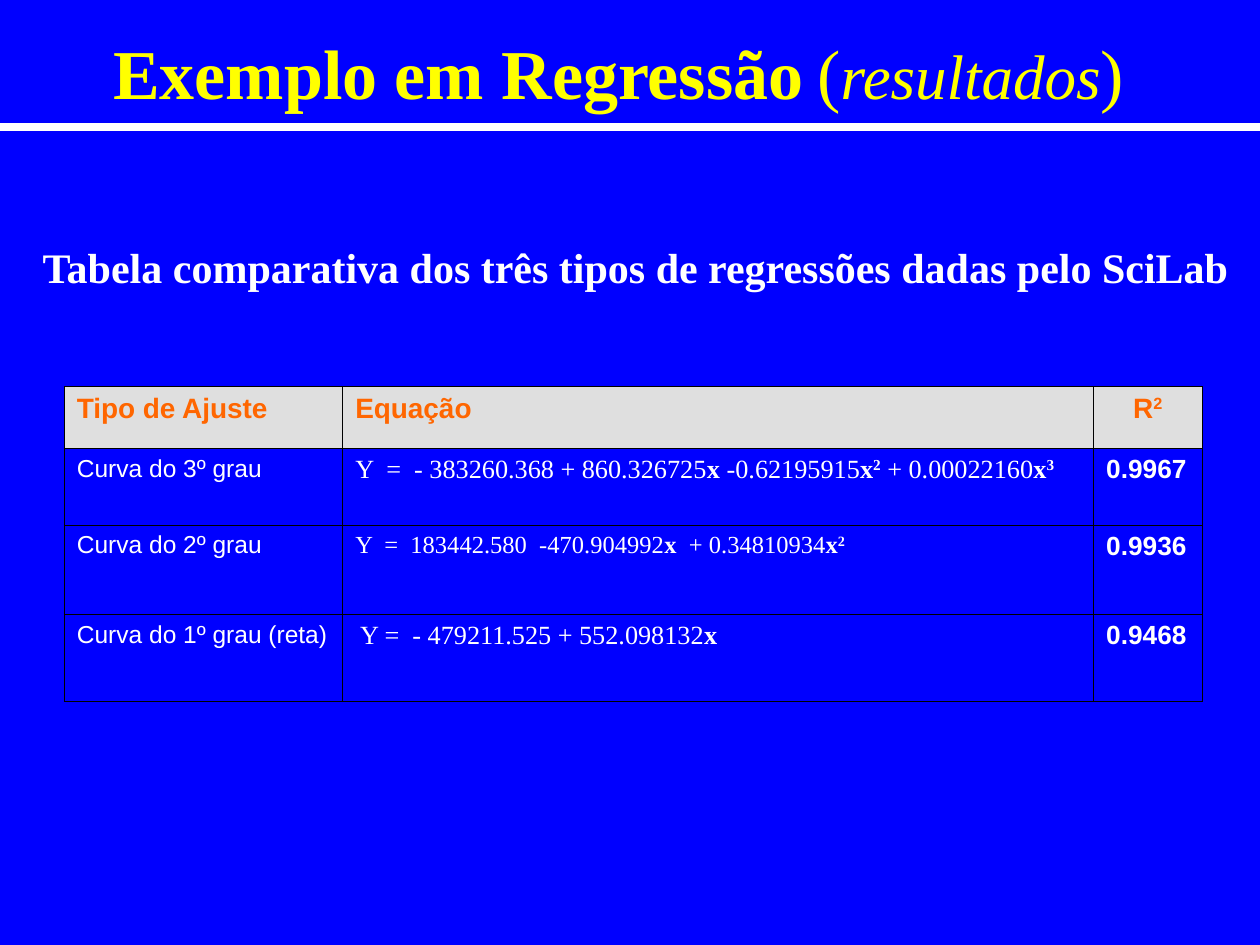
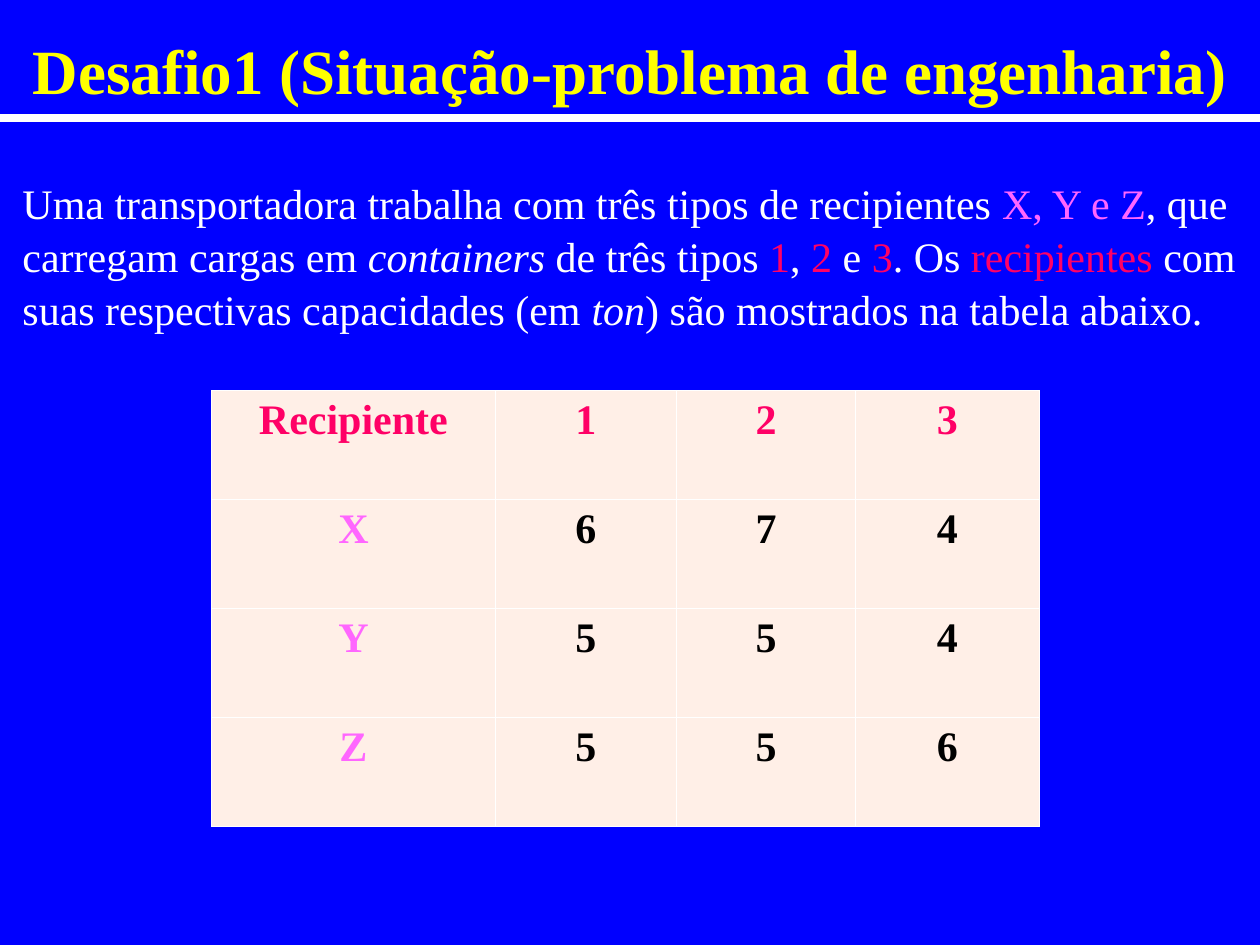
from lxml import etree
from pptx import Presentation
from pptx import util as u
from pptx.dml.color import RGBColor
from pptx.enum import shapes, text
from pptx.oxml import ns

HUES = {
    "back": "0000FF", "title": "FFFF00", "white": "FFFFFF", "black": "000000",
    "orange": "FF6600", "grey": "DFDFDF", "cream": "FFEFE7",
    "red": "FF0066", "pink": "FF66FF",
}
SERIF, SANS = "Times New Roman", "Arial"
WIDE, HIGH = u.Inches(10), u.Inches(7.5)

BOLD, ITAL = {"bold": True}, {"italic": True}
RED, PINK = {"hue": "red"}, {"hue": "pink"}
POWER = {"bold": True, "up": True}


def rgb(hue):
    return RGBColor.from_string(HUES[hue])


def across(pct):
    """Percent of the slide's width."""
    return round(WIDE * pct / 100)


def down(pct):
    """Percent of the slide's height."""
    return round(HIGH * pct / 100)


def area(x, y, w, h):
    return across(x), down(y), across(w), down(h)


def write(par, runs, **base):
    """Fill a paragraph with strings or (string, changes to the base look)."""
    for item in [runs] if isinstance(runs, str) else runs:
        words, more = (item, {}) if isinstance(item, str) else item
        look = {"size": 24, "face": SERIF, "hue": "white", **base, **more}
        run = par.add_run()
        run.text = words
        font = run.font
        font.size, font.name = u.Pt(look["size"]), look["face"]
        font.bold = look.get("bold", False)
        font.italic = look.get("italic", False)
        font.color.rgb = rgb(look["hue"])
        if look.get("up"):
            run._r.get_or_add_rPr().set("baseline", "30000")


def add_head(slide, box, runs, rule, **look):
    """Title with a white rule across the slide under it."""
    title = slide.shapes.title
    title.left, title.top, title.width, title.height = area(*box)
    frame = title.text_frame
    frame.word_wrap = True
    frame.auto_size = text.MSO_AUTO_SIZE.NONE
    frame.vertical_anchor = text.MSO_ANCHOR.MIDDLE
    frame.margin_top, frame.margin_bottom = u.Inches(0.1), 0
    par = frame.paragraphs[0]
    par.alignment = text.PP_ALIGN.CENTER
    write(par, runs, hue="title", **look)

    line = slide.shapes.add_connector(
        shapes.MSO_CONNECTOR.STRAIGHT, 0, down(rule), WIDE, down(rule))
    line.line.color.rgb = rgb("white")
    line.line.width = u.Pt(4.5)
    etree.SubElement(line._element.spPr, ns.qn("a:effectLst"))


def add_note(slide, box, runs, **look):
    frame = slide.shapes.add_textbox(*area(*box)).text_frame
    frame.word_wrap = True
    par = frame.paragraphs[0]
    par.line_spacing = 1.05
    write(par, runs, **look)


def edge(cell, hue):
    """Thin border on all four sides of a cell."""
    props = cell._tc.get_or_add_tcPr()
    for spot, side in enumerate(("lnL", "lnR", "lnT", "lnB")):
        line = etree.Element(ns.qn("a:" + side), w=str(u.Pt(0.45)))
        fill = etree.SubElement(line, ns.qn("a:solidFill"))
        etree.SubElement(fill, ns.qn("a:srgbClr"), val=HUES[hue])
        props.insert(spot, line)


def add_grid(slide, spot, cols, rows, data, style, line, pad):
    """Table; style(row, col) gives a cell's fill, alignment and look."""
    box = area(*spot, sum(cols), sum(rows))
    grid = slide.shapes.add_table(len(rows), len(cols), *box).table
    grid.first_row = grid.horz_banding = False
    for col, pct in zip(grid.columns, cols):
        col.width = across(pct)
    for row, pct in zip(grid.rows, rows):
        row.height = down(pct)
    for r, items in enumerate(data):
        for c, runs in enumerate(items):
            cell = grid.cell(r, c)
            fill, align, look = style(r, c)
            if fill:
                cell.fill.solid()
                cell.fill.fore_color.rgb = rgb(fill)
            else:
                cell.fill.background()
            edge(cell, line)
            cell.margin_left = cell.margin_right = u.Inches(pad)
            par = cell.text_frame.paragraphs[0]
            par.alignment = align
            write(par, runs, **look)


def fit_style(r, c):
    left, mid = text.PP_ALIGN.LEFT, text.PP_ALIGN.CENTER
    if r == 0:
        look = {"size": 16, "face": SANS, "hue": "orange", "bold": True}
        return "grey", mid if c == 2 else left, look
    looks = (
        {"size": 14, "face": SANS},
        {"size": 14 if r == 2 else 15},
        {"size": 15, "face": SANS, "bold": True},
    )
    return None, left, looks[c]


def load_style(r, c):
    hue = "red" if r == 0 else "pink" if c == 0 else "black"
    return "cream", text.PP_ALIGN.CENTER, {"hue": hue, "bold": True}


def fit_slide(slide):
    add_head(slide, (2.5, 2.27, 93.2, 9.2), [
        ("Exemplo em Regressão", BOLD), (" ", {"size": 32}), "(",
        ("resultados", {"size": 36, "italic": True}), ")",
    ], 13.47, size=40)
    x, sq, cube = ("x", BOLD), ("2", POWER), ("3", POWER)
    data = [
        ["Tipo de Ajuste", "Equação", ["R", sq]],
        ["Curva do 3º grau",
         ["Y  =  - 383260.368 + 860.326725", x, " -0.62195915", x, sq,
          " + 0.00022160", x, cube], "0.9967"],
        ["Curva do 2º grau",
         ["Y  =  183442.580  -470.904992", x, "  + 0.34810934", x, sq],
         "0.9936"],
        ["Curva do 1º grau (reta)",
         [(" ", {"size": 11}), "Y =  - 479211.525 + 552.098132", x],
         "0.9468"],
    ]
    add_grid(slide, (5.1, 40.93), (22.1, 59.6, 8.6), (6.53, 8.13, 9.47, 9.2),
             data, fit_style, "black", 0.1)
    add_note(slide, (2.4, 24.67, 97.6, 6.67),
             "Tabela comparativa dos três tipos de regressões dadas pelo SciLab",
             bold=True)


def load_slide(slide):
    add_head(slide, (0, 2, 100, 9.33),
             "Desafio1 (Situação-problema de engenharia)", 12.53,
             size=36, bold=True)
    data = ["Recipiente 1 2 3".split(), "X674", "Y554", "Z556"]
    add_grid(slide, (16.8, 41.33), (22.5, 14.4, 14.2, 14.6), [11.53] * 4,
             data, load_style, "white", 0.07)
    add_note(slide, (0.8, 17.87, 99.2, 17.33), [
        "Uma transportadora trabalha com três tipos de recipientes ",
        ("X, Y e Z", PINK), ", que carregam cargas em ", ("containers", ITAL),
        " de três tipos ", ("1", RED), ", ", ("2", RED), " e ", ("3", RED),
        ". Os ", ("recipientes", RED),
        " com suas respectivas capacidades (em ", ("ton", ITAL),
        ") são mostrados na tabela abaixo.",
    ])


def main():
    deck = Presentation()
    deck.slide_width, deck.slide_height = WIDE, HIGH
    fill = deck.slide_master.background.fill
    fill.solid()
    fill.fore_color.rgb = rgb("back")
    for build in (fit_slide, load_slide):
        build(deck.slides.add_slide(deck.slide_layouts.get_by_name("Title Only")))
    deck.save("out.pptx")


if __name__ == "__main__":
    main()
